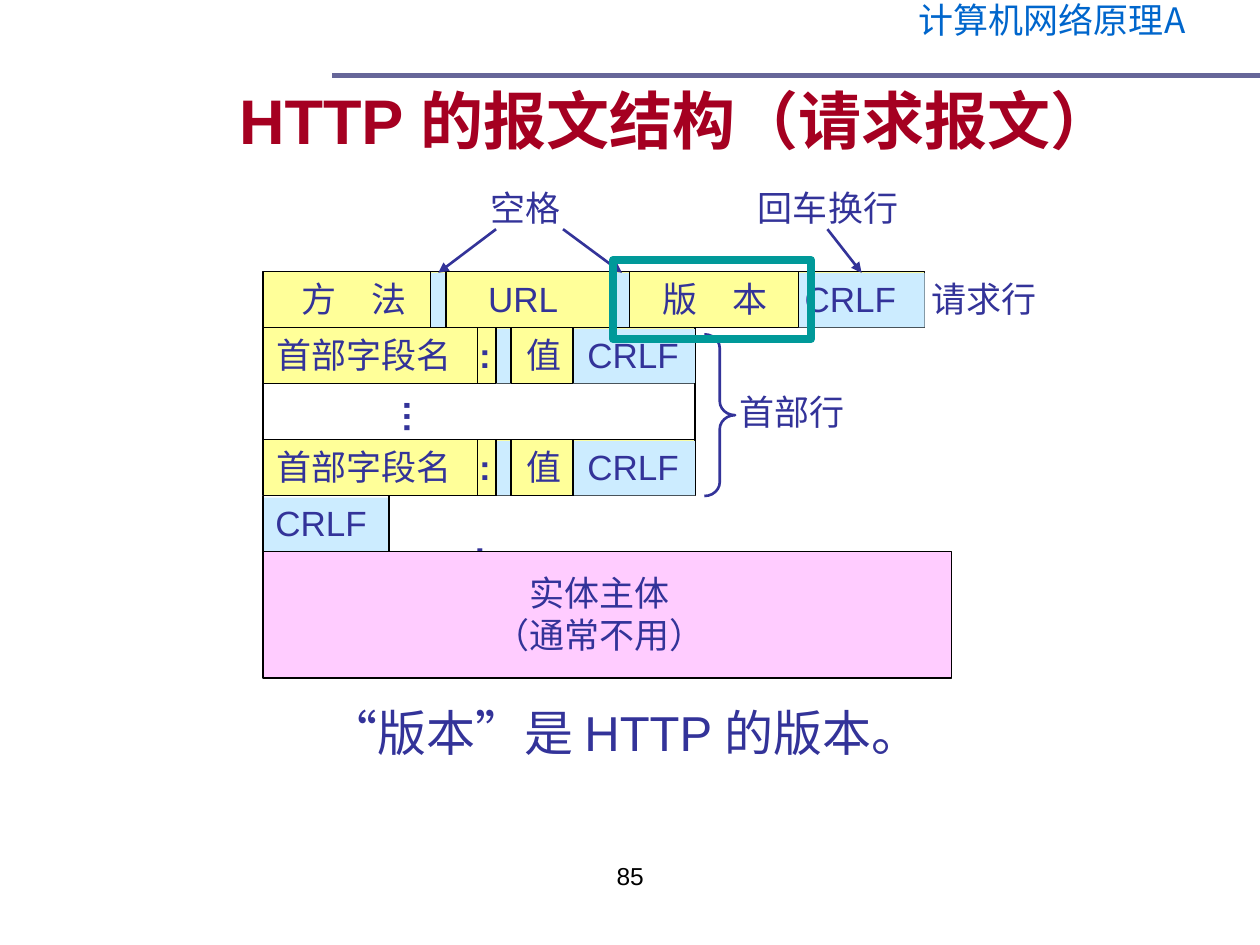
from lxml.etree import SubElement
from pptx import Presentation
from pptx.dml.color import RGBColor
from pptx.enum.shapes import MSO_CONNECTOR, MSO_SHAPE
from pptx.enum.text import MSO_ANCHOR, PP_ALIGN
from pptx.oxml.ns import qn
from pptx.util import Cm, Pt

INK = RGBColor(0x33, 0x33, 0x99)
BLACK = RGBColor(0x00, 0x00, 0x00)
COURSE_BLUE = RGBColor(0x00, 0x66, 0xCC)
RULE_SLATE = RGBColor(0x66, 0x66, 0x99)
TITLE_RED = RGBColor(0xA5, 0x00, 0x21)
FIELD_YELLOW = RGBColor(0xFF, 0xFF, 0x99)
CONTROL_BLUE = RGBColor(0xCC, 0xEC, 0xFF)
BODY_PINK = RGBColor(0xFF, 0xCC, 0xFF)
HIGHLIGHT_TEAL = RGBColor(0x00, 0x99, 0x99)

LATIN = "Arial"
CJK = "Noto Sans CJK SC"
ROW = 1.13
LABEL_HEIGHT = 1.12

FRAME = {"word_wrap": True}
CENTERED = {"alignment": PP_ALIGN.CENTER}


def assign(target, values):
    for key, value in values.items():
        setattr(target, key, value)


def write(slide, box, lines, frame=FRAME, paragraph=None, color=INK, **font):
    holder = slide.shapes.add_textbox(*map(Cm, box))
    assign(holder.text_frame, frame)
    for index, runs in enumerate(lines):
        para = holder.text_frame.paragraphs[0] if index == 0 else holder.text_frame.add_paragraph()
        assign(para, paragraph or {})
        for words, face in runs:
            run = para.add_run()
            run.text = words
            assign(run.font, {"size": Pt(20), "name": face, **font})
            run.font.color.rgb = color
            SubElement(run._r.get_or_add_rPr(), qn("a:ea"), typeface=CJK)
    return holder


def label(slide, x, y, width, words, **font):
    return write(slide, (x, y, width, LABEL_HEIGHT), [[(words, LATIN)]], **font)


def block(slide, box, fill=None, line=None, weight=0.75, preset=MSO_SHAPE.RECTANGLE):
    area = slide.shapes.add_shape(preset, *map(Cm, box))
    area.shadow.inherit = False
    if fill is None:
        area.fill.background()
    else:
        area.fill.solid()
        area.fill.fore_color.rgb = fill
    if line is None:
        area.line.fill.background()
    else:
        area.line.color.rgb = line
        area.line.width = Pt(weight)
    return area


def stroke(slide, start, end, color=BLACK, weight=0.75):
    link = slide.shapes.add_connector(MSO_CONNECTOR.STRAIGHT, *map(Cm, (*start, *end)))
    link.line.color.rgb = color
    link.line.width = Pt(weight)
    SubElement(link._element.spPr, qn("a:effectLst"))
    return link


def dividers(slide, x, y, offsets):
    for offset in offsets:
        stroke(slide, (x + offset, y), (x + offset, y + ROW))


def message_row(slide, x, y, width, edges, controls, labels):
    block(slide, (x, y, width, ROW), FIELD_YELLOW, BLACK)
    cells = [block(slide, (x + left, y + 0.03, right - left, ROW - 0.03), CONTROL_BLUE)
             for left, right in controls]
    dividers(slide, x, y, edges)
    for offset, label_width, words, bold in labels:
        label(slide, x + offset, y - 0.01, label_width, words, bold=bold)
    return cells


def request_line(slide, x, y):
    width = 13.34
    edges = (3.38, 3.69, 7.09, 7.39, 10.8)
    controls = ((3.38, 3.69), (7.09, 7.39), (10.8, width))
    labels = ((0.53, 3.2, "方　法", False), (4.29, 2.6, "URL", False),
              (7.8, 3.2, "版　本", False), (10.67, 2.8, "CRLF", False),
              (13.23, 3.2, "请求行", False))
    return message_row(slide, x, y, width, edges, controls, labels)


def header_line(slide, x, y):
    width = 8.71
    edges = (4.32, 4.7, 5, 6.25)
    controls = ((4.7, 5), (6.25, width))
    labels = ((0.02, 4.5, "首部字段名", False), (4.11, 0.74, ":", True),
              (5.07, 1.3, "值", False), (6.29, 2.8, "CRLF", False))
    message_row(slide, x, y, width, edges, controls, labels)


def omitted_lines(slide, x, y):
    dividers(slide, x, y, (0, 8.71))
    ellipsis = label(slide, x + 2.08, y + 0.1, 1.22, "…", bold=True)
    ellipsis.rotation = 270


def blank_line(slide, x, y):
    block(slide, (x, y + 0.04, 2.54, ROW - 0.04), CONTROL_BLUE)
    dividers(slide, x, y, (0, 2.54))
    label(slide, x, y, 2.8, "CRLF")
    label(slide, x + 4.01, y + 0.6, 0.74, ":", bold=True)


def entity_body(slide, x, y):
    block(slide, (x, y, 13.89, 2.55), BODY_PINK, BLACK)
    write(slide, (x + 4.02, y + 0.27, 5.55, 1.96),
          [[("实体主体", LATIN)], [("（通常不用）", LATIN)]], paragraph=CENTERED)


def header_brace(slide, x, y):
    brace = block(slide, (x, y, 0.62, 3.26), None, INK, 1.5, MSO_SHAPE.RIGHT_BRACE)
    brace.adjustments[0] = 0.45
    label(slide, x + 0.46, y + 1.01, 3.2, "首部行")


def annotations(slide, x, y, cells):
    label(slide, x + 4.34, y, 2.4, "空格")
    label(slide, x + 9.73, y, 4, "回车换行")
    for offset, cell in zip((4.7, 6.05, 11.38), cells):
        start = (x + offset, y + 0.99)
        arrow = stroke(slide, start, start, INK, 1.5)
        arrow.end_connect(cell, 0)
        SubElement(arrow.line._get_or_add_ln(), qn("a:tailEnd"), type="triangle")


def message(slide, x, y):
    tops = [y + ROW * step for step in range(6)]
    cells = request_line(slide, x, tops[0])
    header_line(slide, x, tops[1])
    omitted_lines(slide, x, tops[2])
    header_line(slide, x, tops[3])
    blank_line(slide, x, tops[4])
    entity_body(slide, x, tops[5])
    header_brace(slide, x + 8.9, tops[1] + 0.14)
    annotations(slide, x, y - 1.84, cells)
    block(slide, (x + 7.06, y - 0.23, 3.99, 1.6), None, HIGHLIGHT_TEAL, 4.5)


def heading(slide, x, y, width):
    write(slide, (x + 11.57, y, 6.85, 1.12), [[("计算机网络原理A", CJK)]],
          paragraph={"line_spacing": 0.8}, color=COURSE_BLUE)
    stroke(slide, (x, y + 1.52), (x + width, y + 1.52), RULE_SLATE, 3)
    write(slide, (x - 3.89, y + 1.24, 21.64, 2.34), [[("HTTP 的报文结构（请求报文）", LATIN)]],
          {**FRAME, "vertical_anchor": MSO_ANCHOR.MIDDLE}, CENTERED, TITLE_RED,
          size=Pt(36), bold=True)


def caption(slide, x, y):
    runs = [("“", CJK), ("版本", LATIN), ("”是 ", CJK), ("HTTP ", LATIN), ("的版本。", CJK)]
    write(slide, (x, y, 11.81, 1.45), [runs], size=Pt(28))


def page_number(slide, x, y):
    write(slide, (x, y, 8.05, 1.32), [[("85", LATIN)]],
          paragraph={**CENTERED, "line_spacing": 0.8}, color=BLACK, size=Pt(14))


def main():
    deck = Presentation()
    assign(deck, {"slide_width": Cm(25.4), "slide_height": Cm(19.05)})
    slide = deck.slides.add_slide(deck.slide_layouts[6])
    heading(slide, 6.7, 0, 18.7)
    message(slide, 5.3, 5.47)
    caption(slide, 6.38, 14.04)
    page_number(slide, 8.68, 17.35)
    deck.save("out.pptx")


if __name__ == "__main__":
    main()
